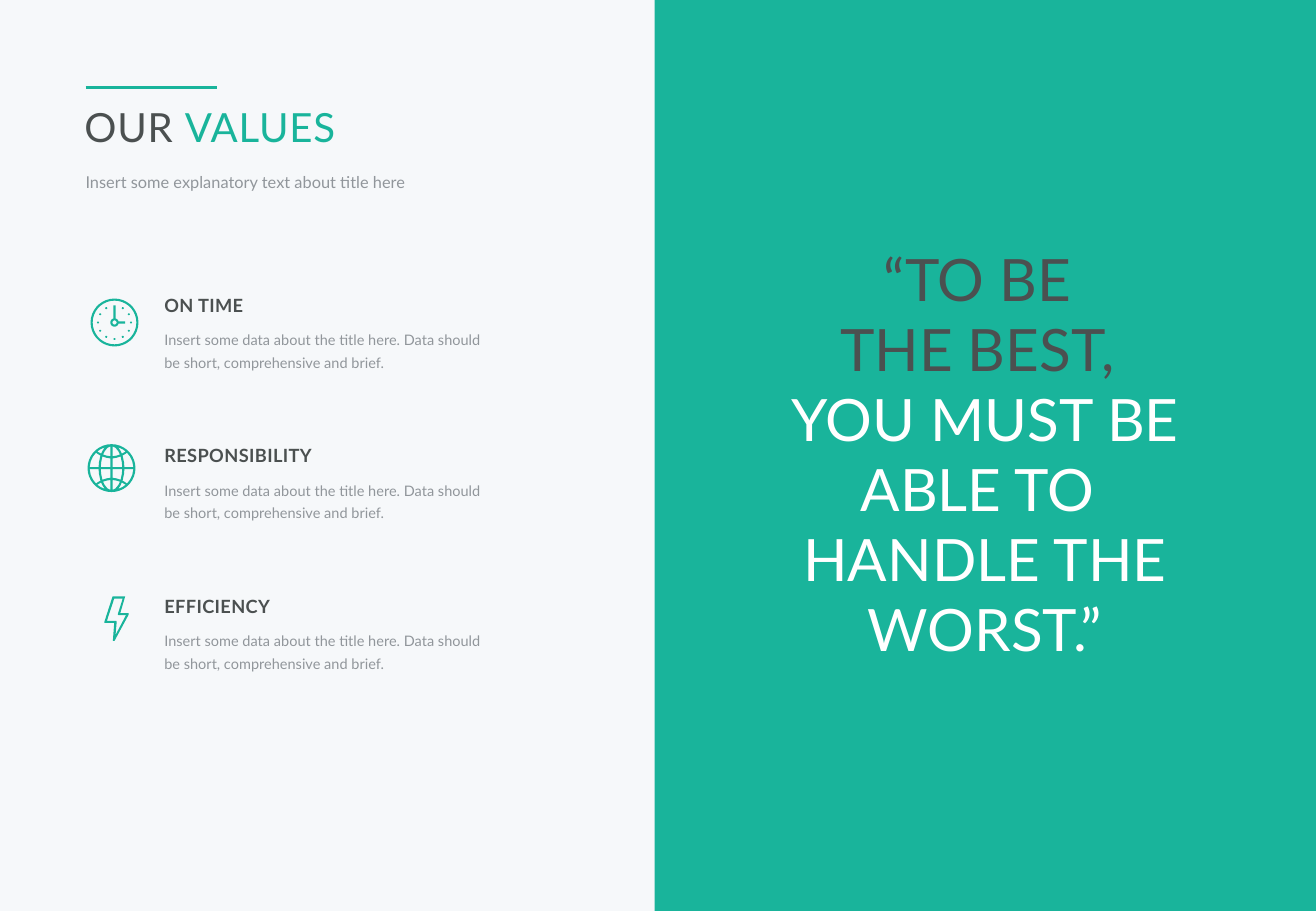
import math

from lxml import etree
from pptx import Presentation
from pptx.dml.color import RGBColor
from pptx.enum.shapes import MSO_CONNECTOR, MSO_SHAPE
from pptx.enum.text import MSO_ANCHOR, MSO_AUTO_SIZE, PP_ALIGN
from pptx.oxml.ns import qn
from pptx.util import Pt

RECT, STRAIGHT = MSO_SHAPE.RECTANGLE, MSO_CONNECTOR.STRAIGHT
TOP, NO_FIT = MSO_ANCHOR.TOP, MSO_AUTO_SIZE.NONE
LEFT, CENTER = PP_ALIGN.LEFT, PP_ALIGN.CENTER

COLORS = {"back": "F6F8FA", "teal": "19B49B", "dark": "4B5050", "gray": "91969B", "white": "FFFFFF"}
FONT = "Lato"
TITLE = [("OUR ", "dark"), ("VALUES", "teal")]
SUBTITLE = "Insert some explanatory text about title here"
BODY = "Insert some data about the title here. Data should be short, comprehensive and brief."
VALUES = [("ON TIME", BODY), ("RESPONSIBILITY", BODY), ("EFFICIENCY", BODY)]
QUOTE = [
    ("“TO BE ", "dark"),
    ("THE BEST, ", "dark"),
    ("YOU MUST BE ABLE TO ", "white"),
    ("HANDLE THE WORST.”", "white"),
]
BOLT = [
    [(61.9, 369.3), (61.9, 368.5), (66.7, 353.6), (74.2, 353.6), (71.3, 363.5),
     (76.3, 363.5), (76.3, 364.3), (67.9, 379.9), (66.9, 379.9), (67.7, 369.3)],
    [(63.4, 368), (67.7, 354.9), (72.7, 354.9), (69.8, 364.2), (70.2, 364.6),
     (74.7, 364.6), (68.5, 376.4), (69.2, 368.5), (68.8, 368)],
]
GLOBE_CELLS = [
    [(0.65, 0.65), (6.35, 0.65), (6.1, 3.5), (5.4, 6.9), (3, 6.1), (0.65, 5.75)],
    [(0.65, 7.05), (3, 7.4), (5, 8.05), (4, 10.05), (2.4, 12), (0.65, 12.9)],
    [(7.65, 0.65), (12.93, 0.65), (12.3, 4.05), (11, 6.8), (9.2, 9.1),
     (8, 8.3), (6.55, 7.45), (7.4, 3.5)],
    [(6.15, 8.55), (8.4, 9.85), (6.5, 11.2), (4, 12.3), (5.2, 10.45)],
]

WIDTH, HEIGHT, PANEL_X = 779.76, 540, 387.8
TEXT_X, ROW_TOP, ROW_STEP, BODY_DROP = 97.4, 174.3, 89.2, 19
CLOCK, GLOBE = (67.9, 191.2), (66.1, 277.5)
RING_OUT, RING_IN, DOT_ORBIT = 14.2, 12.95, 9.8
HAND_HALF, HUB_OUT, HUB_IN = 0.6, 2.5, 1.25

prs = Presentation()
prs.slide_width, prs.slide_height = Pt(WIDTH), Pt(HEIGHT)
slide = prs.slides.add_slide(prs.slide_layouts[5])
shapes = slide.shapes


def color(name):
    return RGBColor.from_string(COLORS[name])


def paint(s):
    s.shadow.inherit = False
    s.fill.solid()
    s.fill.fore_color.rgb = color("teal")
    s.line.fill.background()


def circle(x, y, radius, count):
    angles = [math.tau * i / count for i in range(count)]
    return [(x + radius * math.cos(a), y + radius * math.sin(a)) for a in angles]


def box(x1, y1, x2, y2):
    return [(x1, y1), (x2, y1), (x2, y2), (x1, y2)]


def add_icon(contours):
    builder = None
    for contour in contours:
        pts = [(Pt(x), Pt(y)) for x, y in contour]
        if builder is None:
            builder = shapes.build_freeform(*pts[0])
        else:
            builder.move_to(*pts[0])
        builder.add_line_segments(pts[1:], close=True)
    paint(builder.convert_to_shape())


def clock_contours():
    x, y = CLOCK
    contours = [circle(x, y, RING_OUT, 36), circle(x, y, RING_IN, 36),
                circle(x, y, HUB_OUT, 16), circle(x, y, HUB_IN, 12),
                box(x - HAND_HALF, y - 10.2, x + HAND_HALF, y - HUB_OUT),
                box(x + HUB_OUT, y - HAND_HALF, x + 6.3, y + HAND_HALF)]
    for hour in range(1, 12):
        (dx, dy) = circle(0, 0, DOT_ORBIT, 12)[hour - 3]
        contours.append(circle(x + dx, y + dy, 0.65, 6))
    return contours


def globe_contours():
    x, y = GLOBE
    cells = [[(x + sx * dx, y + sy * dy) for dx, dy in cell]
             for sx in (-1, 1) for sy in (-1, 1) for cell in GLOBE_CELLS]
    return [circle(x, y, RING_OUT, 36)] + cells


def frame(s):
    tf = s.text_frame
    tf.margin_left = tf.margin_right = tf.margin_top = tf.margin_bottom = 0
    tf.word_wrap, tf.auto_size, tf.vertical_anchor = True, NO_FIT, TOP
    return tf


def add_run(p, text, size, name, bold=False, spacing=0):
    r = p.add_run()
    r.text = text
    r.font.name, r.font.size, r.font.bold = FONT, Pt(size), bold
    r.font.color.rgb = color(name)
    if spacing:
        r._r.get_or_add_rPr().set("spc", str(round(spacing * 100)))


def add_text(x, y, w, h, text, size, name, bold=False, spacing=0, leading=None):
    p = frame(shapes.add_textbox(Pt(x), Pt(y), Pt(w), Pt(h))).paragraphs[0]
    if leading:
        p.line_spacing = leading
    add_run(p, text, size, name, bold, spacing)


slide.background.fill.solid()
slide.background.fill.fore_color.rgb = color("back")
paint(shapes.add_shape(RECT, Pt(PANEL_X), 0, Pt(WIDTH - PANEL_X), Pt(HEIGHT)))

tf = frame(shapes.add_textbox(Pt(435.4), Pt(144), Pt(296.6), Pt(252)))
for i, (text, name) in enumerate(QUOTE):
    p = tf.add_paragraph() if i else tf.paragraphs[0]
    p.alignment = CENTER
    add_run(p, text, 34.65, name)

for i, (heading, body) in enumerate(VALUES):
    y = ROW_TOP + i * ROW_STEP
    add_text(TEXT_X, y + BODY_DROP, 191.5, 27.4, body, 8.6, "gray", leading=1.3)
    add_text(TEXT_X, y, 191.5, 13, heading, 10.8, "dark", True, 0.22)

for contours in (globe_contours(), clock_contours(), BOLT):
    add_icon(contours)

title = shapes.title
title.left, title.top, title.width, title.height = Pt(50), Pt(60.5), Pt(280), Pt(28.8)
p = frame(title).paragraphs[0]
p.alignment = LEFT
for text, name in TITLE:
    add_run(p, text, 23.8, name, spacing=0.5)

rule = shapes.add_connector(STRAIGHT, Pt(50.8), Pt(51.9), Pt(128.8), Pt(51.9))
rule.line.color.rgb = color("teal")
rule.line.width = Pt(2)
etree.SubElement(rule._element.spPr, qn("a:effectLst"))
add_text(50.7, 101.5, 280, 12.2, SUBTITLE, 9.7, "gray", leading=Pt(12))

prs.save("out.pptx")
